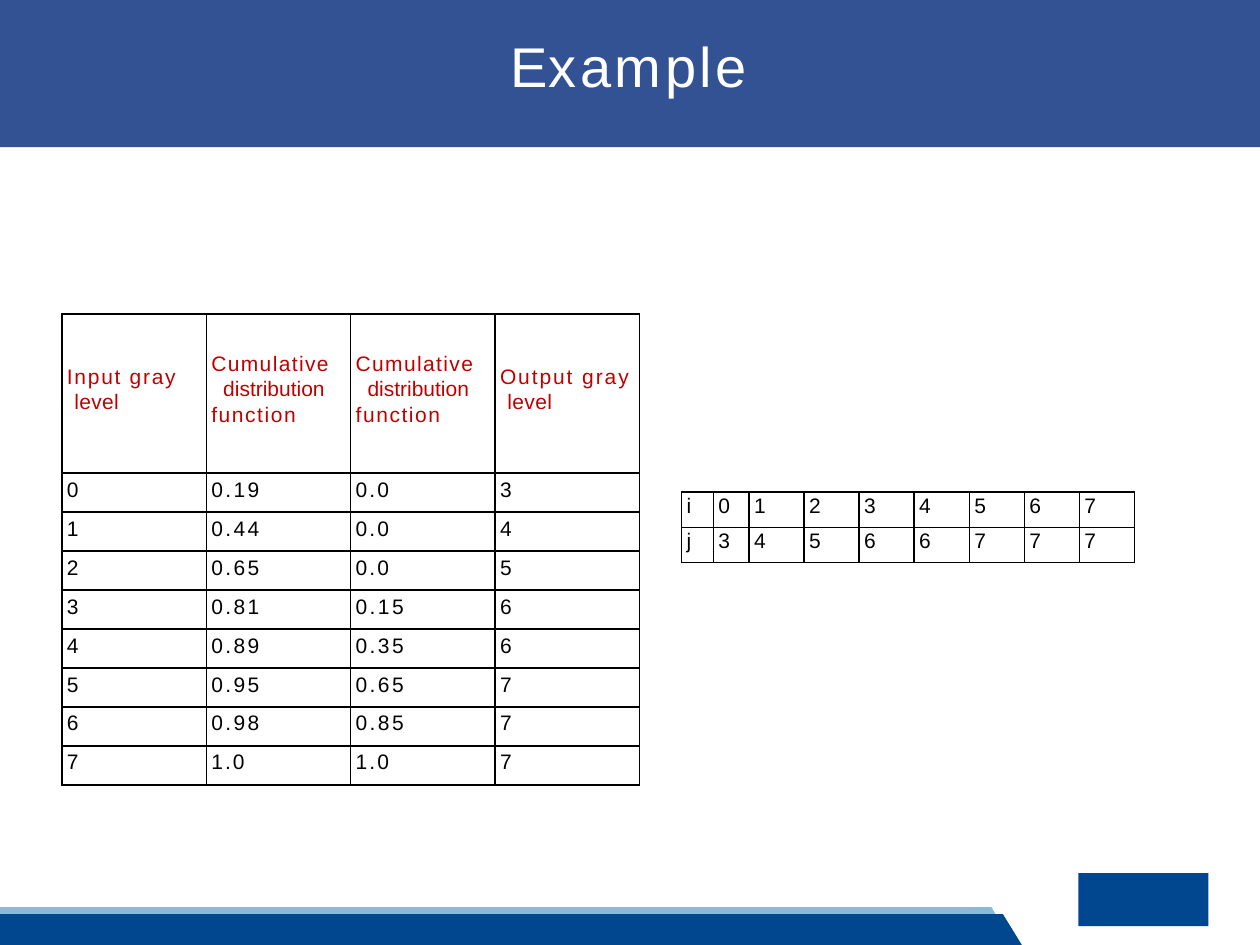
from dataclasses import dataclass

import lxml.etree
import pptx
import pptx.dml.color
import pptx.enum.shapes
import pptx.enum.text
import pptx.oxml.ns
import pptx.util

Cm = pptx.util.Cm
Pt = pptx.util.Pt


@dataclass(frozen=True)
class Theme:
    font: str = "Arial"
    banner: str = "335294"
    stripe: str = "86BCD5"
    navy: str = "004790"
    heading: str = "C00000"
    ink: str = "000000"
    paper: str = "FFFFFF"
    title_size: float = 32
    table_size: float = 12


@dataclass(frozen=True)
class Line:
    text: str
    spacing: float = 0
    indent: float = 0


@dataclass(frozen=True)
class Grid:
    left: float
    top: float
    columns: list[float]
    rows: list[float]
    cells: list[list[list[Line]]]
    margin_top: float
    before: float
    has_heading: bool = False


THEME = Theme()
DIGIT_SPACING = {1: 0, 3: 1.2, 4: 1.4}
CUMULATIVE = [Line("Cumulative", 0.8), Line("distribution", 0, 0.24), Line("function", 0.9)]
HEADINGS = [
    [Line("Input gray", 1), Line("level", 0.2, 0.15)],
    CUMULATIVE,
    CUMULATIVE,
    [Line("Output gray", 1.1), Line("level", 0.2, 0.15)],
]
INPUT_CDF = ["0.19", "0.44", "0.65", "0.81", "0.89", "0.95", "0.98", "1.0"]
TARGET_CDF = ["0.0", "0.0", "0.0", "0.15", "0.35", "0.65", "0.85", "1.0"]
INPUT_LEVELS = list("01234567")
OUTPUT_LEVELS = list("34566777")


def rgb(color: str) -> pptx.dml.color.RGBColor:
    return pptx.dml.color.RGBColor.from_string(color)


def add_text(p, text: str, *, size: float, color: str, spacing: float = 0,
             indent: float = 0, before: float = 0, line: float = 1) -> None:
    p.space_before = Pt(before)
    p.line_spacing = line
    if indent:
        p._p.get_or_add_pPr().set("marL", str(Cm(indent)))
    r = p.add_run()
    r.text = text
    r.font.name = THEME.font
    r.font.size = Pt(size)
    r.font.color.rgb = rgb(color)
    r._r.get_or_add_rPr().set("spc", str(round(spacing * 100)))


def paint(sp, color: str) -> None:
    sp.shadow.inherit = False
    sp.fill.solid()
    sp.fill.fore_color.rgb = rgb(color)
    sp.line.fill.background()


def add_block(slide, left: float, top: float, width: float, height: float, color: str) -> None:
    sp = slide.shapes.add_shape(pptx.enum.shapes.MSO_SHAPE.RECTANGLE,
                                Cm(left), Cm(top), Cm(width), Cm(height))
    paint(sp, color)


def add_stripe(slide, top: float, bottom: float, top_right: float,
               bottom_right: float, color: str) -> None:
    builder = slide.shapes.build_freeform(Cm(0), Cm(top))
    corners = [(top_right, top), (bottom_right, bottom), (0, bottom)]
    builder.add_line_segments([(Cm(x), Cm(y)) for x, y in corners], close=True)
    paint(builder.convert_to_shape(), color)


def add_borders(cell) -> None:
    tcPr = cell._tc.get_or_add_tcPr()
    qn = pptx.oxml.ns.qn
    for side in ("a:lnL", "a:lnR", "a:lnT", "a:lnB"):
        ln = lxml.etree.SubElement(tcPr, qn(side), w=str(Pt(1)))
        fill = lxml.etree.SubElement(ln, qn("a:solidFill"))
        lxml.etree.SubElement(fill, qn("a:srgbClr"), val=THEME.ink)


def fill_cell(cell, lines: list[Line], grid: Grid, heading: bool) -> None:
    add_borders(cell)
    cell.fill.background()
    cell.margin_left, cell.margin_right = Cm(0.1), Cm(0)
    cell.margin_top = Cm(0 if heading else grid.margin_top)
    cell.margin_bottom = Cm(0.2 if heading else 0)
    if heading:
        cell.vertical_anchor = pptx.enum.text.MSO_ANCHOR.MIDDLE
    tf = cell.text_frame
    for i, line in enumerate(lines):
        p = tf.add_paragraph() if i else tf.paragraphs[0]
        add_text(p, line.text, size=THEME.table_size, spacing=line.spacing, indent=line.indent,
                 color=THEME.heading if heading else THEME.ink,
                 before=0 if heading else grid.before, line=1.07 if heading else 1)


def add_grid(slide, grid: Grid) -> None:
    table = slide.shapes.add_table(
        len(grid.rows), len(grid.columns), Cm(grid.left), Cm(grid.top),
        Cm(sum(grid.columns)), Cm(sum(grid.rows))).table
    table.first_row = table.horz_banding = False
    for column, width in zip(table.columns, grid.columns):
        column.width = Cm(width)
    for y, height in enumerate(grid.rows):
        table.rows[y].height = Cm(height)
        for x, lines in enumerate(grid.cells[y]):
            fill_cell(table.cell(y, x), lines, grid, grid.has_heading and y == 0)


def value_row(values) -> list[list[Line]]:
    return [[Line(value, DIGIT_SPACING[len(value)])] for value in values]


def add_title(slide) -> None:
    tf = slide.shapes.add_textbox(Cm(10.24), Cm(0.61), Cm(4.93), Cm(1.42)).text_frame
    tf.word_wrap = False
    tf.margin_left = Cm(0.05)
    tf.margin_top = Cm(0.03)
    tf.margin_right = tf.margin_bottom = Cm(0)
    for text, spacing in (("E", 0.6), ("xample", 2)):
        add_text(tf.paragraphs[0], text, size=THEME.title_size, color=THEME.paper,
                 spacing=spacing, before=1.1)


def main() -> None:
    prs = pptx.Presentation()
    prs.slide_width, prs.slide_height = Cm(25.4), Cm(19.05)
    slide = prs.slides.add_slide(prs.slide_layouts[6])

    add_block(slide, 0, 0, 25.4, 2.97, THEME.banner)
    add_stripe(slide, 18.29, 18.95, 19.99, 20.37, THEME.stripe)
    add_stripe(slide, 18.43, 19.05, 20.22, 20.6, THEME.navy)
    add_block(slide, 21.74, 17.6, 2.62, 1.07, THEME.navy)
    add_title(slide)

    levels = zip(INPUT_LEVELS, INPUT_CDF, TARGET_CDF, OUTPUT_LEVELS)
    add_grid(slide, Grid(
        left=1.25, top=6.33, columns=[2.91] * 4, rows=[3.21] + [6.28 / 8] * 8,
        cells=[HEADINGS] + [value_row(row) for row in levels],
        margin_top=0.1, before=2.8, has_heading=True))
    add_grid(slide, Grid(
        left=13.74, top=9.92, columns=[0.64, 0.72] + [1.11] * 7, rows=[0.71] * 2,
        cells=[value_row(["i"] + INPUT_LEVELS), value_row(["j"] + OUTPUT_LEVELS)],
        margin_top=0.05, before=1.6))
    prs.save("out.pptx")


if __name__ == "__main__":
    main()
